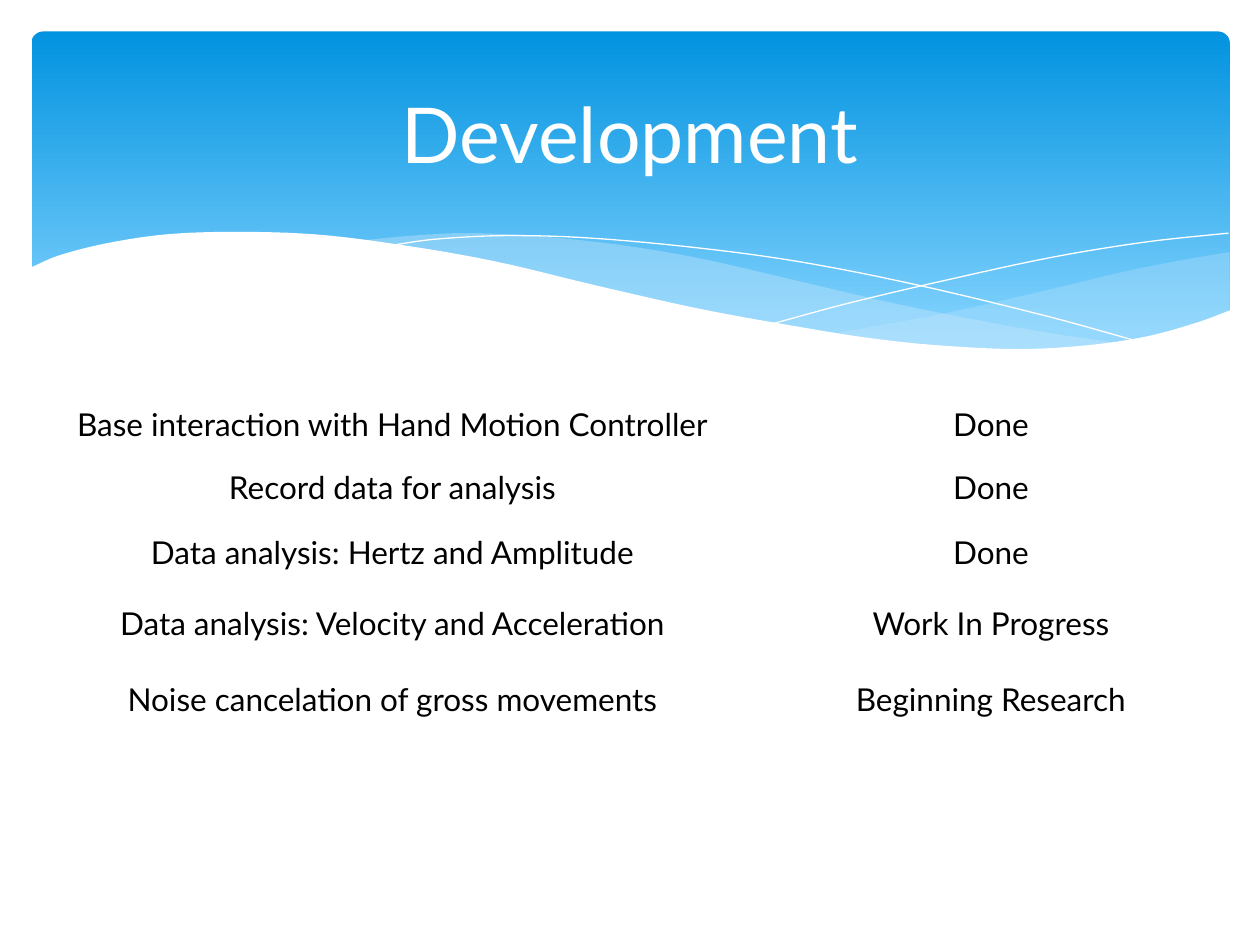
from dataclasses import dataclass

from lxml import etree
from pptx import Presentation
from pptx.dml.color import RGBColor
from pptx.enum.shapes import MSO_SHAPE as Preset
from pptx.enum.text import MSO_ANCHOR as Anchor, PP_ALIGN as Align
from pptx.oxml.ns import qn
from pptx.util import Inches, Pt


@dataclass(frozen=True)
class Theme:
    """Colours, font and type sizes."""
    font: str = "Lato"
    title_size: int = 44
    body_size: int = 18
    white: str = "FFFFFF"
    text: str = "000000"
    band_top: str = "0293E0"
    band_bottom: str = "83D3FE"
    wave: str = "C6E7FC"


def curve(knots, steps=6):
    """Return points on a smooth curve through knots ordered by x."""
    last = len(knots) - 1
    slopes = []
    for i in range(last + 1):
        (x0, y0), (x1, y1) = knots[max(i - 1, 0)], knots[min(i + 1, last)]
        slopes.append((y1 - y0) / (x1 - x0))
    points = [knots[0]]
    for i in range(last):
        (x0, y0), (x1, y1) = knots[i], knots[i + 1]
        width = x1 - x0
        for step in range(1, steps + 1):
            t = step / steps
            rise = t * t * (3 - 2 * t)
            bend = t * (1 - t) * ((1 - t) * slopes[i] - t * slopes[i + 1])
            points.append((x0 + t * width, y0 + (y1 - y0) * rise + width * bend))
    return points


class SlideBuilder:
    """Holds the theme and the current slide."""

    def __init__(self, slide, theme):
        """Keep the slide and its theme."""
        self.shapes = slide.shapes
        self.theme = theme

    def add_text(self, frame, text, size, color):
        """Add one centred run to a text frame."""
        paragraph = frame.paragraphs[0]
        paragraph.alignment = Align.CENTER
        run = paragraph.add_run()
        run.text = text
        run.font.name = self.theme.font
        run.font.size = Pt(size)
        run.font.color.rgb = RGBColor.from_string(color)

    def band(self, left, top, width, height):
        """Add the rounded header with its vertical gradient."""
        shape = self.shapes.add_shape(
            Preset.ROUNDED_RECTANGLE, *map(Inches, (left, top, width, height)))
        shape.adjustments[0] = 0.034
        shape.shadow.inherit = False
        shape.line.fill.background()
        shape.fill.gradient()
        shape.fill.gradient_angle = 270
        stops = ((0, self.theme.band_top), (0.9, self.theme.band_bottom))
        for stop, (position, color) in zip(shape.fill.gradient_stops, stops):
            stop.position = position
            stop.color.rgb = RGBColor.from_string(color)

    def outline(self, points, close):
        """Add a freeform through points given in inches."""
        first, *rest = [(Inches(x), Inches(y)) for x, y in points]
        builder = self.shapes.build_freeform(*first)
        builder.add_line_segments(rest, close=close)
        shape = builder.convert_to_shape()
        shape.shadow.inherit = False
        return shape

    def area(self, points, color, opacity=100):
        """Add a filled area without a border."""
        shape = self.outline(points, True)
        shape.line.fill.background()
        shape.fill.solid()
        shape.fill.fore_color.rgb = RGBColor.from_string(color)
        if opacity < 100:
            fill = shape.element.find(f"{qn('p:spPr')}/{qn('a:solidFill')}")
            etree.SubElement(fill[0], qn("a:alpha"), val=str(opacity * 1000))

    def hairline(self, knots):
        """Add a thin curved line."""
        shape = self.outline(curve(knots), False)
        shape.fill.background()
        shape.line.color.rgb = RGBColor.from_string(self.theme.white)
        shape.line.width = Pt(0)

    def title(self, text, left, top, width, height):
        """Add the title, centred in its box."""
        frame = self.shapes.add_textbox(
            *map(Inches, (left, top, width, height))).text_frame
        frame.word_wrap = True
        frame.vertical_anchor = Anchor.MIDDLE
        self.add_text(frame, text, self.theme.title_size, self.theme.white)

    def table(self, rows, left, top, widths, heights):
        """Add a plain table without fills."""
        table = self.shapes.add_table(
            len(rows), len(widths), Inches(left), Inches(top),
            Inches(sum(widths)), Inches(sum(heights))).table
        table.first_row = table.horz_banding = False
        for column, width in zip(table.columns, widths):
            column.width = Inches(width)
        for row, height, texts in zip(table.rows, heights, rows):
            row.height = Inches(height)
            for cell, text in zip(row.cells, texts):
                cell.fill.background()
                self.add_text(cell.text_frame, text,
                              self.theme.body_size, self.theme.text)


RIGHT_WAVE_TOP = [(6.61, 2.65), (7.53, 2.48), (8.32, 2.3), (8.91, 2.16),
                  (9.35, 2.07), (9.76, 2)]
RIGHT_WAVE_BOTTOM = [(6.61, 2.65), (7.19, 2.72), (7.69, 2.77), (8.14, 2.78),
                     (8.63, 2.75), (9.05, 2.69), (9.42, 2.59), (9.76, 2.47)]
LEFT_WAVE_TOP = [(2.86, 1.91), (3.28, 1.87), (3.7, 1.85), (4.2, 1.87),
                 (4.89, 1.94), (5.55, 2.05), (6.29, 2.22), (7.06, 2.4),
                 (7.75, 2.54), (8.37, 2.65), (8.93, 2.73)]
LEFT_WAVE_BOTTOM = [(2.86, 1.91), (3.42, 1.99), (4.04, 2.11), (4.91, 2.32),
                    (5.66, 2.48), (6.34, 2.61), (6.95, 2.7), (7.48, 2.76),
                    (7.96, 2.78), (8.38, 2.78), (8.93, 2.73)]
FALLING_LINE = [(3.09, 1.95), (3.44, 1.9), (4.01, 1.87), (4.69, 1.89),
                (5.56, 1.97), (6.36, 2.08), (7.27, 2.26), (8.31, 2.51), (9.07, 2.72)]
RISING_LINE = [(6.13, 2.57), (6.72, 2.41), (7.48, 2.23), (8.36, 2.04),
               (9.1, 1.92), (9.75, 1.85)]
HEADER_EDGE = [(0.23, 2.13), (0.46, 2.03), (0.85, 1.93), (1.32, 1.86),
               (1.85, 1.84), (2.5, 1.86), (3.16, 1.94), (3.91, 2.07),
               (4.75, 2.27), (5.55, 2.45), (6.26, 2.58), (6.88, 2.68),
               (7.44, 2.74), (8.09, 2.77), (8.63, 2.74), (9.1, 2.67),
               (9.5, 2.56), (9.77, 2.46)]
PROGRESS = [
    ("Base interaction with Hand Motion Controller", "Done"),
    ("Record data for analysis", "Done"),
    ("Data analysis: Hertz and Amplitude", "Done"),
    ("Data analysis: Velocity and Acceleration", "Work In Progress"),
    ("Noise cancelation of gross movements", "Beginning Research"),
]


def main():
    """Build and save the slide."""
    presentation = Presentation()
    presentation.slide_width, presentation.slide_height = Inches(10), Inches(7.5)
    theme = Theme()
    slide = presentation.slides.add_slide(presentation.slide_layouts[6])
    builder = SlideBuilder(slide, theme)

    builder.band(0.25, 0.25, 9.51, 2.7)
    for top, bottom, opacity in ((RIGHT_WAVE_TOP, RIGHT_WAVE_BOTTOM, 29),
                                 (LEFT_WAVE_TOP, LEFT_WAVE_BOTTOM, 40)):
        builder.area(curve(top) + curve(bottom)[::-1], theme.wave, opacity)
    for knots in (FALLING_LINE, RISING_LINE):
        builder.hairline(knots)
    builder.area(curve(HEADER_EDGE) + [(9.77, 3.29), (0.23, 3.29)], theme.white)

    builder.title("Development", 0.5, 0.37, 9, 1.37)
    builder.table(PROGRESS, 0.28, 3.17, (5.67, 3.83), (0.5, 0.51, 0.57, 0.6, 0.53))
    presentation.save("out.pptx")


main()
